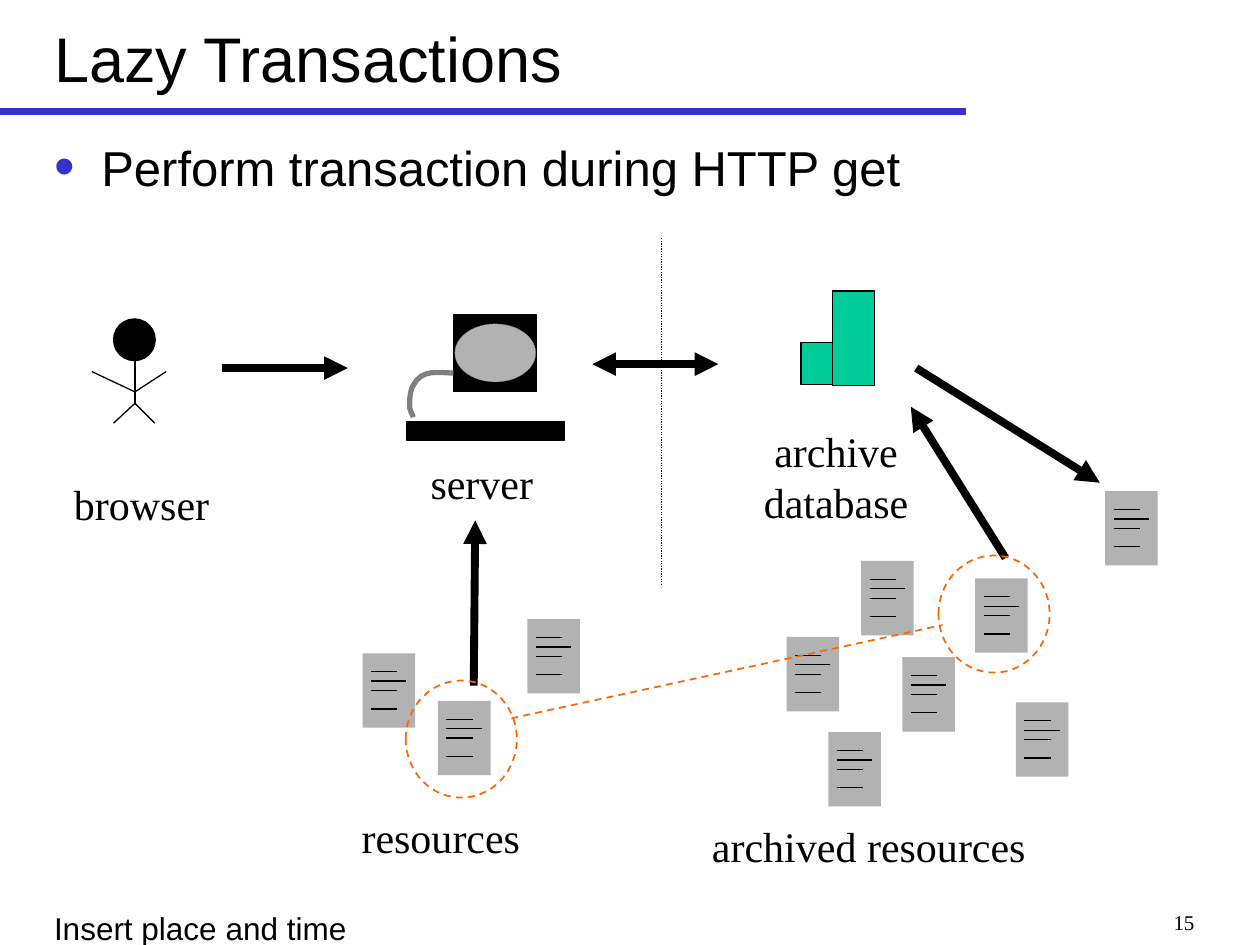
"""Build the Lazy Transactions slide."""
from lxml.etree import SubElement
from pptx import Presentation
from pptx.dml.color import RGBColor
from pptx.enum.dml import MSO_LINE
from pptx.enum.shapes import MSO_CONNECTOR, MSO_SHAPE
from pptx.enum.text import MSO_ANCHOR, MSO_AUTO_SIZE, PP_ALIGN
from pptx.oxml.ns import qn
from pptx.util import Cm, Pt

COLORS = {"black": "000000", "blue": "3333CC", "gray": "B2B2B2",
          "dark gray": "808080", "green": "00CC99", "orange": "FF6600"}
RGB = {name: RGBColor.from_string(value) for name, value in COLORS.items()}

deck = Presentation()
deck.slide_width, deck.slide_height = Cm(25.4), Cm(19.05)
page = deck.slides.add_slide(deck.slide_layouts[1])


def add_line(points, color="black", width=0.75, dash=None, arrows=()):
    line = page.shapes.add_connector(MSO_CONNECTOR.STRAIGHT, *map(Cm, points))
    line.line.color.rgb = RGB[color]
    line.line.width = Pt(width)
    if dash:
        line.line.dash_style = dash
    for end in arrows:
        SubElement(line.line._get_or_add_ln(), qn(f"a:{end}"), type="triangle")
    SubElement(line._element.spPr, qn("a:effectLst"))


def add_shape(kind, place, fill=None, outline=None, width=0.75, dash=None):
    shape = page.shapes.add_shape(kind, *map(Cm, place))
    shape.shadow.inherit = False
    if fill:
        shape.fill.solid()
        shape.fill.fore_color.rgb = RGB[fill]
    else:
        shape.fill.background()
    if outline:
        shape.line.color.rgb = RGB[outline]
        shape.line.width = Pt(width)
        if dash:
            shape.line.dash_style = dash
    else:
        shape.line.fill.background()


add_line((0, 2.24, 19.48, 2.24), "blue", 4)

title, body = page.shapes.title, page.placeholders[1]
for box, place, text, size in [
    (title, (0.84, 0.1, 18.92, 2.11), "Lazy Transactions", 36),
    (body, (0.84, 2.64, 23.5, 6.58), "Perform transaction during HTTP get", 28),
]:
    box.left, box.top, box.width, box.height = map(Cm, place)
    box.text_frame.text = text
    box.text_frame.auto_size = MSO_AUTO_SIZE.NONE
    para = box.text_frame.paragraphs[0]
    para.alignment = PP_ALIGN.LEFT
    para.space_before = Pt(0)
    if box is body:
        bullet = para._p.get_or_add_pPr()
        bullet.set("marL", str(Cm(0.95)))
        bullet.set("indent", str(Cm(-0.95)))
        SubElement(SubElement(bullet, qn("a:buClr")), qn("a:srgbClr"), val=COLORS["blue"])
        SubElement(bullet, qn("a:buSzPct"), val="120000")
        SubElement(bullet, qn("a:buFont"), typeface="Arial")
        SubElement(bullet, qn("a:buChar"), char="•")
    para.font.name, para.font.size = "Arial", Pt(size)
    para.font.color.rgb = RGB["black"]

RECTANGLE, OVAL = MSO_SHAPE.RECTANGLE, MSO_SHAPE.OVAL
documents = [(7.31, 13.17), (10.63, 12.48), (8.83, 14.13), (18.19, 13.25), (16.7, 14.76),
             (15.86, 12.84), (20.48, 14.16), (19.66, 11.66), (17.36, 11.31), (22.28, 9.9)]
for left, top in documents:
    add_shape(RECTANGLE, (left, top, 1.06, 1.5), "gray")
    for drop, length in [(0.37, 0.53), (0.56, 0.71), (0.75, 0.53), (1.12, 0.53)]:
        add_line((left + 0.17, top + drop, left + 0.17 + length, top + drop))

add_shape(RECTANGLE, (9.14, 6.35, 1.68, 1.55), "black", "black")
add_shape(OVAL, (9.17, 6.53, 1.63, 1.17), "gray", "dark gray", 0.25, MSO_LINE.ROUND_DOT)
add_shape(RECTANGLE, (8.2, 8.51, 3.18, 0.36), "black", "black")

cable_curves = [
    [(8.33, 8.41), (8.31, 8.33), (8.26, 8.28), (8.26, 8.2)],
    [(8.26, 8.2), (8.26, 8.05), (8.26, 7.9), (8.33, 7.77)],
    [(8.33, 7.77), (8.51, 7.42), (8.86, 7.52), (9.14, 7.52)],
]
cable_points = []
for curve in cable_curves:
    for step in range(1, 9):
        t = step / 8
        weights = ((1 - t) ** 3, 3 * t * (1 - t) ** 2, 3 * t * t * (1 - t), t ** 3)
        cable_points.append(tuple(
            Cm(sum(weight * point[axis] for weight, point in zip(weights, curve)))
            for axis in (0, 1)))
builder = page.shapes.build_freeform(Cm(8.33), Cm(8.41))
builder.add_line_segments(cable_points, close=False)
cable = builder.convert_to_shape()
cable.shadow.inherit = False
cable.fill.background()
cable.line.color.rgb = RGB["dark gray"]
cable.line.width = Pt(3)

add_shape(OVAL, (2.29, 6.43, 0.84, 0.84), "black", "black")
for limb in [(2.72, 7.26, 2.72, 8.13), (1.85, 7.49, 2.72, 7.9), (3.35, 7.49, 2.72, 7.9),
             (2.72, 8.13, 2.29, 8.53), (2.72, 8.13, 3.12, 8.53)]:
    add_line(limb)

add_line((13.34, 4.8, 13.34, 11.79), dash=MSO_LINE.ROUND_DOT)
add_line((11.94, 7.34, 14.48, 7.34), width=4.5, arrows=("headEnd", "tailEnd"))
for arrow in [(4.47, 7.42, 7.01, 7.42), (9.55, 13.82, 9.58, 10.49),
              (20.27, 11.25, 18.36, 8.2), (18.47, 7.42, 22.17, 9.73)]:
    add_line(arrow, width=4.5, arrows=("tailEnd",))

for bar in [(16.15, 6.91, 0.65, 0.84), (16.79, 5.87, 0.84, 1.9)]:
    add_shape(RECTANGLE, bar, "green", "black")

for left, top in [(8.18, 13.72), (18.92, 11.2)]:
    add_shape(OVAL, (left, top, 2.24, 2.36), None, "orange", 1, MSO_LINE.DASH)
add_line((10.31, 14.48, 19, 12.6), "orange", 1, MSO_LINE.DASH)

SERIF = "Times New Roman"
labels = [
    ("resources", (7.04, 16.23, 3.71, 1.27), SERIF, 24, PP_ALIGN.LEFT, False),
    ("browser", (1.24, 9.53, 3.23, 1.27), SERIF, 24, PP_ALIGN.LEFT, False),
    ("server", (8.43, 9.09, 2.57, 1.27), SERIF, 24, PP_ALIGN.LEFT, False),
    ("archive\ndatabase", (15.14, 8.46, 3.43, 2.29), SERIF, 24, PP_ALIGN.CENTER, False),
    ("archived resources", (14.1, 16.41, 6.83, 1.27), SERIF, 24, PP_ALIGN.CENTER, False),
    ("Insert place and time", (0.84, 18.21, 16.84, 0.64), "Arial", 18, PP_ALIGN.LEFT, True),
    ("15", (19.05, 18.21, 5.28, 0.64), SERIF, 12, PP_ALIGN.RIGHT, True),
]
for text, place, font, size, alignment, wrap in labels:
    frame = page.shapes.add_textbox(*map(Cm, place)).text_frame
    frame.word_wrap = wrap
    frame.vertical_anchor = MSO_ANCHOR.TOP
    frame.text = text
    for para in frame.paragraphs:
        para.alignment = alignment
        para.font.name, para.font.size = font, Pt(size)
        para.font.color.rgb = RGB["black"]

deck.save("out.pptx")
